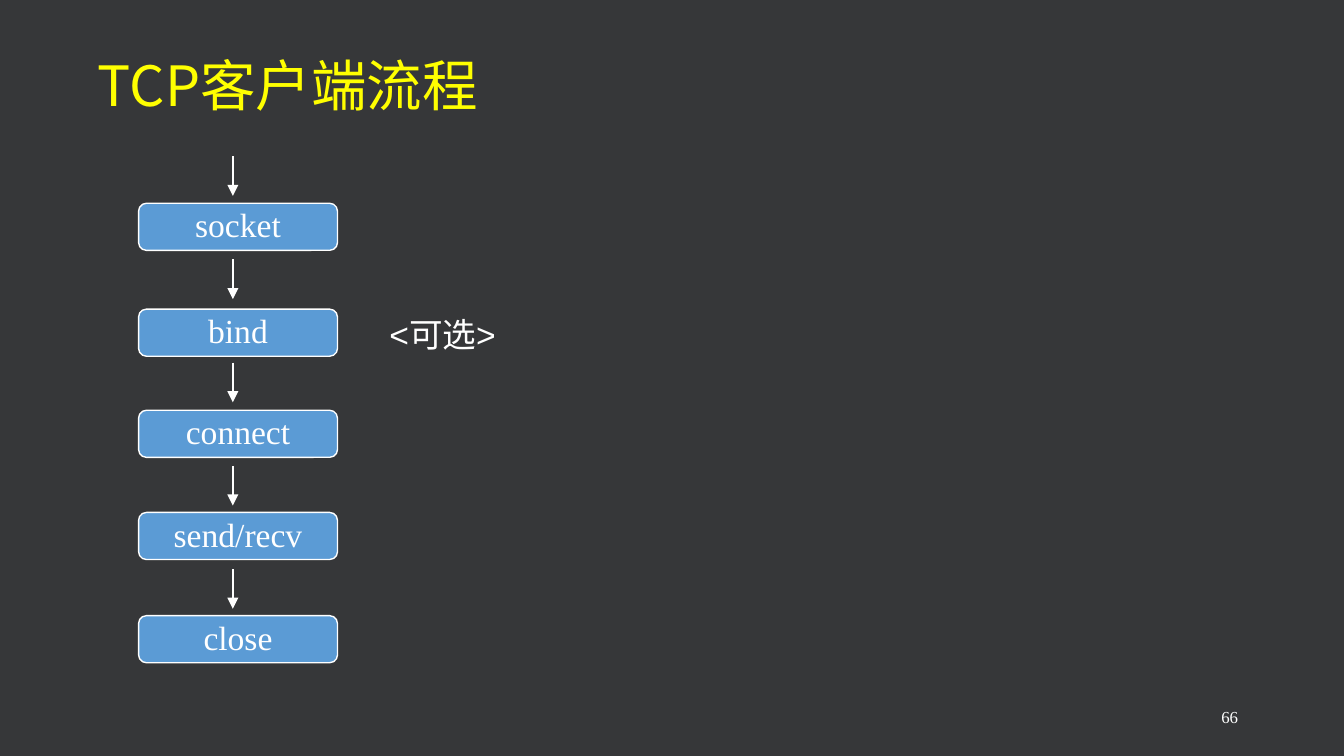
from lxml import etree
from pptx import Presentation
from pptx.dml.color import RGBColor
from pptx.enum import shapes, text
from pptx.oxml.ns import qn
from pptx.util import Cm, Pt

DARK = RGBColor(0x36, 0x37, 0x39)
BLUE = RGBColor(0x5B, 0x9B, 0xD5)
WHITE = RGBColor(0xFF, 0xFF, 0xFF)
YELLOW = RGBColor(0xFF, 0xFF, 0x00)
SANS = "Noto Sans CJK SC"
SERIF = "Times New Roman"
STEPS = [("socket", 0), ("bind", 2), ("connect", 3.91),
         ("send/recv", 5.84), ("close", 7.79)]


def write(frame, words, size, face, color, align, space=1.0):
    """Fill a text frame with one styled paragraph."""
    frame.word_wrap = True
    frame.vertical_anchor = text.MSO_ANCHOR.TOP
    para = frame.paragraphs[0]
    para.text = words
    para.alignment = align
    para.line_spacing = space
    font = para.font
    font.size, font.name, font.bold = Pt(size), face, False
    font.color.rgb = color
    base = para._p.pPr.find(qn("a:defRPr"))
    east = SERIF if face == SERIF else SANS
    etree.SubElement(base, qn("a:ea")).set("typeface", east)


def add_title(slide, left, top, width, height):
    """Place and format the slide title."""
    title = slide.shapes.title
    title.left, title.top = Cm(left), Cm(top)
    title.width, title.height = Cm(width), Cm(height)
    frame = title.text_frame
    write(frame, "TCP客户端流程", 29.7, SANS, YELLOW, text.PP_ALIGN.LEFT, 0.9)
    frame.auto_size = text.MSO_AUTO_SIZE.NONE
    frame.vertical_anchor = text.MSO_ANCHOR.BOTTOM
    frame.margin_left = frame.margin_right = Cm(0.2)
    frame.margin_top = frame.margin_bottom = Cm(0.1)


def add_label(slide, words, size, face, align, left, top, width, height):
    """Add a white line of text in its own box."""
    label = slide.shapes.add_textbox(Cm(left), Cm(top), Cm(width), Cm(height))
    write(label.text_frame, words, size, face, WHITE, align)


def add_step(slide, words, left, top, width, height):
    """Add one rounded step of the flow."""
    step = slide.shapes.add_shape(
        shapes.MSO_SHAPE.FLOWCHART_ALTERNATE_PROCESS,
        Cm(left), Cm(top), Cm(width), Cm(height))
    step.shadow.inherit = False
    step.fill.solid()
    step.fill.fore_color.rgb = BLUE
    step.line.color.rgb = WHITE
    step.line.width = Pt(0.75)
    write(step.text_frame, words, 18, SERIF, WHITE, text.PP_ALIGN.CENTER, 0.8)


def add_arrow(slide, left, top, height):
    """Add a downward arrow."""
    arrow = slide.shapes.add_connector(
        shapes.MSO_CONNECTOR.STRAIGHT,
        Cm(left), Cm(top), Cm(left), Cm(top + height))
    arrow.line.color.rgb = WHITE
    arrow.line.width = Pt(0.75)
    line = arrow.line._get_or_add_ln()
    etree.SubElement(line, qn("a:tailEnd")).set("type", "triangle")
    etree.SubElement(arrow._element.spPr, qn("a:effectLst"))


def add_flow(slide, left, top, width):
    """Stack the client steps, each below its arrow."""
    for row, (words, drop) in enumerate(STEPS):
        add_arrow(slide, left + 1.78, top + 1.95 * row, 0.75)
        add_step(slide, words, left, top + 0.89 + drop, width, 0.89)
    add_label(slide, "<可选>", 18, "Arial", text.PP_ALIGN.LEFT,
              left + 4.49, top + 2.85, 3.91, 1.02)


def main():
    """Build and save the slide."""
    deck = Presentation()
    deck.slide_width, deck.slide_height = Cm(25.4), Cm(14.28)
    slide = deck.slides.add_slide(deck.slide_layouts[5])
    back = slide.background.fill
    back.solid()
    back.fore_color.rgb = DARK
    add_title(slide, 1.65, 1.14, 16.66, 1.19)
    add_flow(slide, 2.62, 2.95, 3.76)
    add_label(slide, "66", 9, SERIF, text.PP_ALIGN.RIGHT,
              17.93, 13.23, 5.72, 0.76)
    deck.save("out.pptx")


if __name__ == "__main__":
    main()
